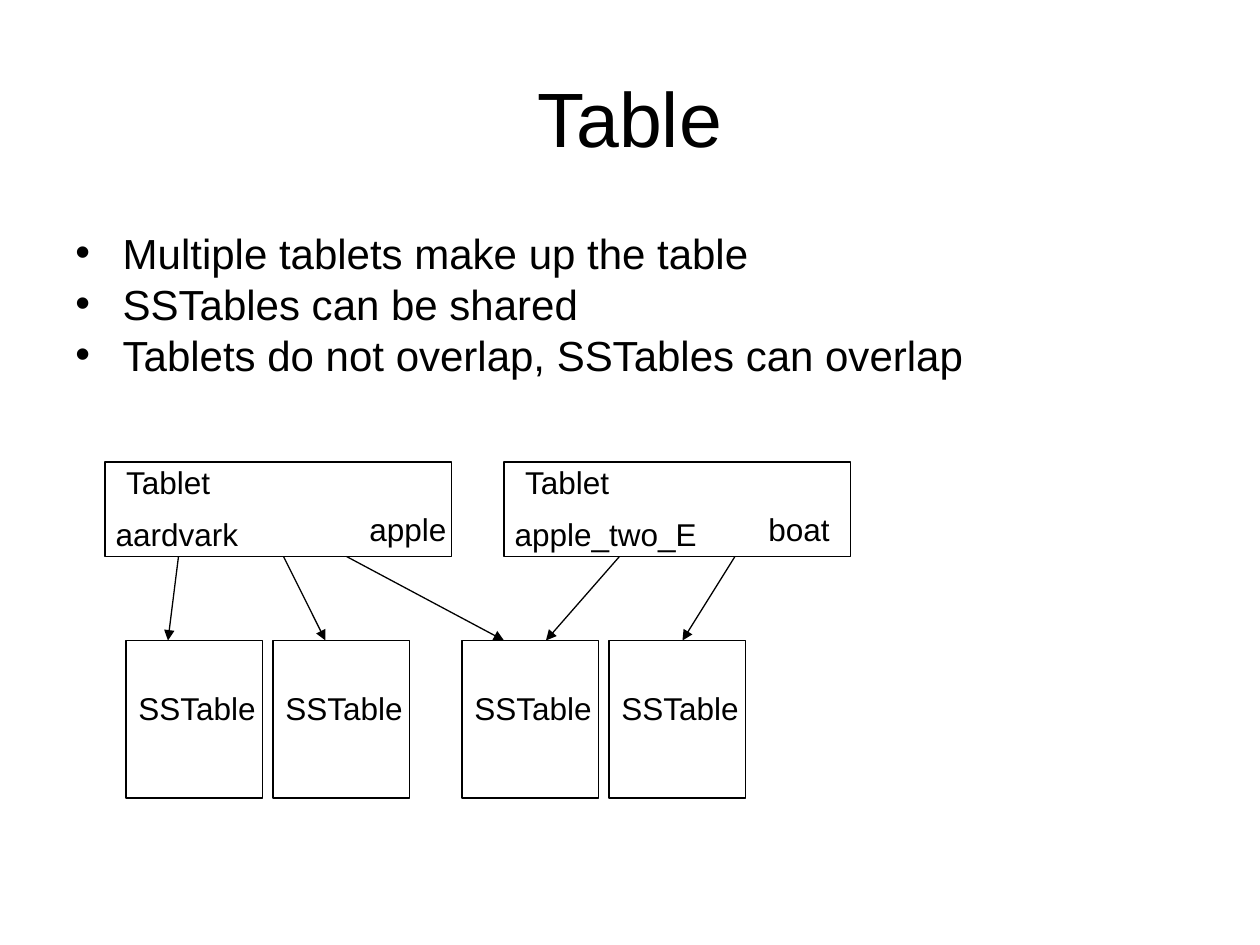
from lxml.etree import SubElement
from pptx import Presentation
from pptx.dml.color import RGBColor
from pptx.enum.shapes import MSO_CONNECTOR as Connector, MSO_SHAPE as Shape
from pptx.enum.text import MSO_ANCHOR as Anchor, MSO_AUTO_SIZE as AutoSize, PP_ALIGN as Align
from pptx.oxml.ns import qn
from pptx.util import Pt

INK = "000000"
TABLET_TOP, TABLET_WIDTH, TABLET_HEIGHT = 264, 198, 54
SSTABLE_TOP, SSTABLE_WIDTH, SSTABLE_HEIGHT = 366, 78, 90
LABEL_HEIGHT = 29
TABLETS = [
    (60, ("aardvark", 86), ("apple", 60)),
    (288, ("apple_two_E", 120), ("boat", 51)),
]
SSTABLE_LEFTS = [72, 156, 264, 348]
REFERENCES = [(102, 96), (162, 186), (198, 288), (354, 312), (420, 390)]
POINTS = [
    "Multiple tablets make up the table",
    "SSTables can be shared",
    "Tablets do not overlap, SSTables can overlap",
]


def color(value):
    """Turn a hex string into a colour."""
    return RGBColor.from_string(value)


def style(paragraph, size):
    """Set the font of a whole paragraph."""
    font = paragraph.font
    font.name, font.size = "Arial", Pt(size)
    font.color.rgb = color(INK)


def add_title(slide, left, top, width, height):
    """Fill and place the title placeholder."""
    title = slide.shapes.title
    title.left, title.top, title.width, title.height = map(Pt, (left, top, width, height))
    title.text_frame.text = "Table"
    title.text_frame.vertical_anchor = Anchor.MIDDLE
    heading = title.text_frame.paragraphs[0]
    heading.alignment = Align.CENTER
    style(heading, 44)


def add_points(slide, left, top, width, height):
    """Add the bulleted statements about tables."""
    frame = slide.shapes.add_textbox(*map(Pt, (left, top, width, height))).text_frame
    frame.word_wrap = True
    frame.text = "\n".join(POINTS)
    for point in frame.paragraphs:
        point.line_spacing = 0.8
        point.space_before = Pt(6)
        properties = point._p.get_or_add_pPr()
        properties.set("marL", str(Pt(27)))
        properties.set("indent", str(Pt(-27)))
        SubElement(properties, qn("a:buFont"), typeface="Arial")
        SubElement(properties, qn("a:buChar"), char="•")
        style(point, 24)


def add_box(slide, left, top, width, height):
    """Add an outlined rectangle without fill."""
    box = slide.shapes.add_shape(Shape.RECTANGLE, *map(Pt, (left, top, width, height)))
    box.shadow.inherit = False
    box.fill.background()
    box.line.color.rgb = color(INK)
    box.line.width = Pt(0.75)


def add_label(slide, text, left, top, width):
    """Add a one-line label."""
    frame = slide.shapes.add_textbox(*map(Pt, (left, top, width, LABEL_HEIGHT))).text_frame
    frame.word_wrap = False
    frame.auto_size = AutoSize.SHAPE_TO_FIT_TEXT
    frame.text = text
    style(frame.paragraphs[0], 18)


def add_sstable(slide, left, top, width, height):
    """Add one SSTable with its label."""
    add_box(slide, left, top, width, height)
    add_label(slide, "SSTable", left, top + 24, 84)


def add_tablet(slide, left, top, width, height, first, last):
    """Add one tablet with its first and last row keys."""
    add_box(slide, left, top, width, height)
    labels = [(("Tablet", 65), 5, -3), (first, -1, 27), (last, 144, 24)]
    for (text, text_width), dx, dy in labels:
        add_label(slide, text, left + dx, top + dy, text_width)


def add_reference(slide, start_x, start_y, end_x, end_y):
    """Add an arrow from a tablet to an SSTable."""
    arrow = slide.shapes.add_connector(
        Connector.STRAIGHT, *map(Pt, (start_x, start_y, end_x, end_y)))
    arrow.line.color.rgb = color(INK)
    arrow.line.width = Pt(0.75)
    SubElement(arrow.line._get_or_add_ln(), qn("a:tailEnd"), type="triangle")
    SubElement(arrow._element.spPr, qn("a:effectLst"))


def main():
    """Build and save the slide."""
    deck = Presentation()
    deck.slide_width, deck.slide_height = Pt(720), Pt(540)
    slide = deck.slides.add_slide(deck.slide_layouts[5])
    add_title(slide, 36, 21.6, 648, 90)
    add_points(slide, 36, 132, 660, 96)
    for left in SSTABLE_LEFTS:
        add_sstable(slide, left, SSTABLE_TOP, SSTABLE_WIDTH, SSTABLE_HEIGHT)
    for left, first, last in TABLETS:
        add_tablet(slide, left, TABLET_TOP, TABLET_WIDTH, TABLET_HEIGHT, first, last)
    for start_x, end_x in REFERENCES:
        add_reference(slide, start_x, TABLET_TOP + TABLET_HEIGHT, end_x, SSTABLE_TOP)
    deck.save("out.pptx")


if __name__ == "__main__":
    main()
